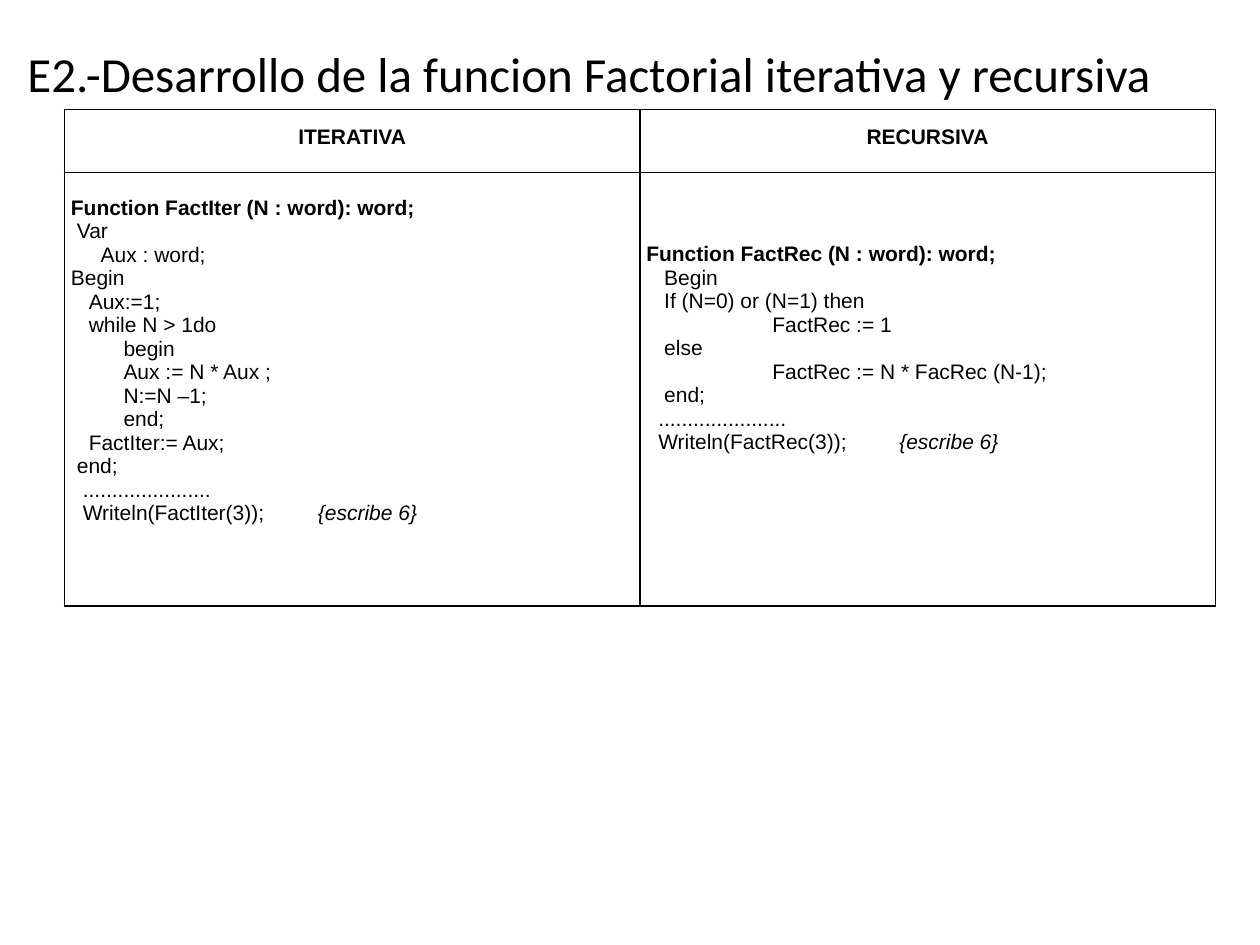
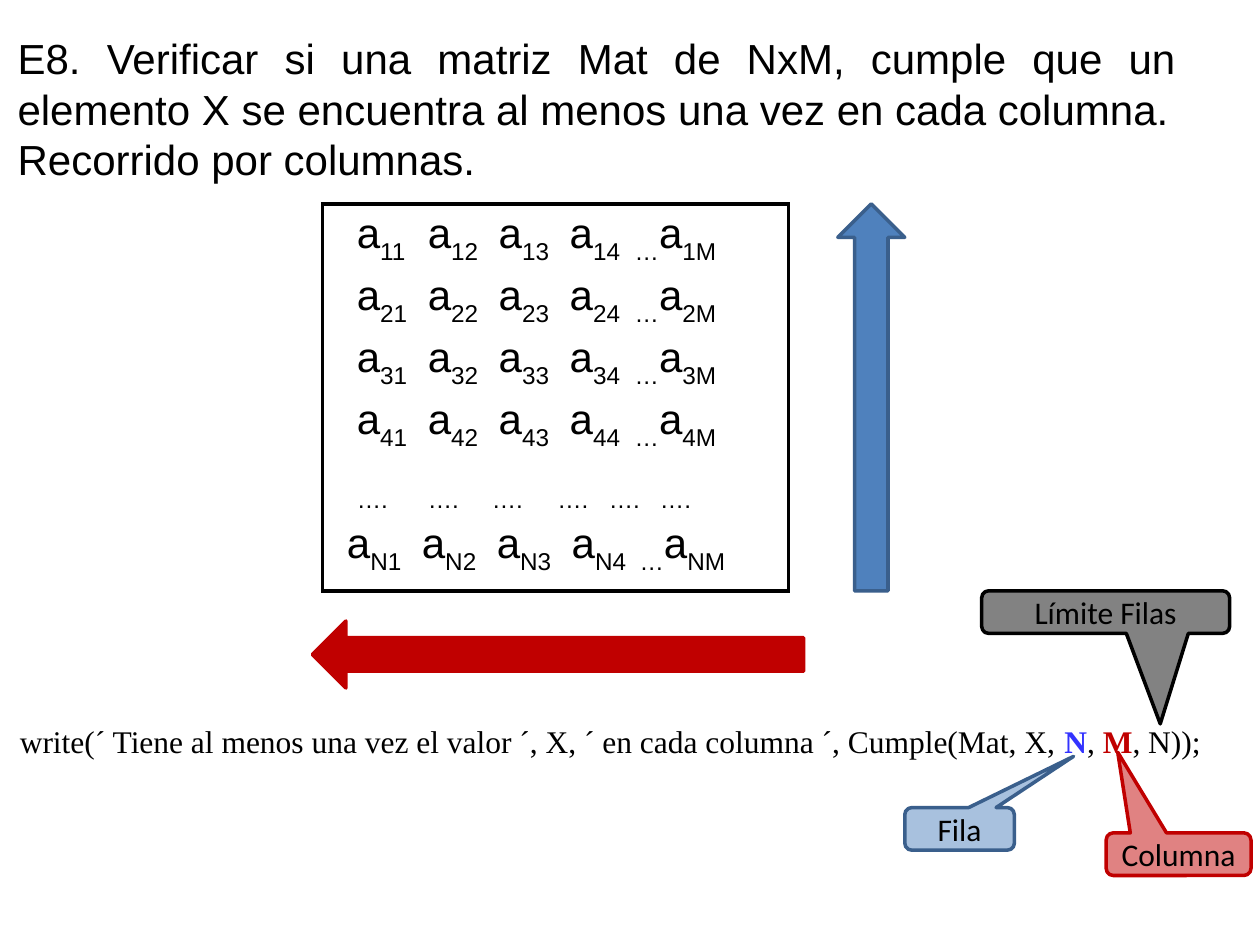
from dataclasses import dataclass

from lxml import etree
from pptx import Presentation
from pptx import util as u
from pptx.dml.color import RGBColor
from pptx.enum import shapes, text
from pptx.oxml.ns import qn


@dataclass(frozen=True)
class Theme:
    black: str = "000000"
    blue: str = "4F81BD"
    dark_blue: str = "3A5F8C"
    red: str = "C00000"
    row_mark: str = "3333FF"
    sans: str = "Arial"
    label: str = "Calibri"
    serif: str = "Times New Roman"
    code_size: int = 12
    body_size: int = 18
    formula_size: int = 24
    heading_size: int = 28


THEME = Theme()
ALIGN = text.PP_ALIGN
SHAPE = shapes.MSO_SHAPE
CODE = {"name": THEME.sans, "size": u.Pt(THEME.code_size)}
FORMULA = {"name": THEME.sans, "size": u.Pt(THEME.formula_size)}
LABEL = {"name": THEME.label, "size": u.Pt(THEME.body_size)}
BOLD, ITALIC = {"bold": True}, {"italic": True}
NO_INSET = {"margin_left": u.Cm(0.13), "margin_right": u.Cm(0.13),
            "margin_top": 0, "margin_bottom": 0}

# Code lines: columns of (position in cm, text, extra format)
ITERATIVE = [
    [(0, "Function FactIter (N : word): word;", BOLD)],
    [(0.12, "Var", {})],
    [(0.6, "Aux : word;", {})],
    [(0, "Begin", {})],
    [(0.36, "Aux:=1;", {})],
    [(0.36, "while N > 1do", {})],
    [(1.06, "begin", {})],
    [(1.06, "Aux := N * Aux ;", {})],
    [(1.06, "N:=N –1;", {})],
    [(1.06, "end;", {})],
    [(0.36, "FactIter:= Aux;", {})],
    [(0.12, "end;", {})],
    [(0.24, "......................", {})],
    [(0.24, "Writeln(FactIter(3));", {}), (4.98, "{escribe 6}", ITALIC)],
]
RECURSIVE = [
    [(0, "Function FactRec (N : word): word;", BOLD)],
    [(0.36, "Begin", {})],
    [(0.36, "If (N=0) or (N=1) then", {})],
    [(2.54, "FactRec := 1", {})],
    [(0.36, "else", {})],
    [(2.54, "FactRec := N * FacRec (N-1);", {})],
    [(0.36, "end;", {})],
    [(0.24, "......................", {})],
    [(0.24, "Writeln(FactRec(3));", {}), (5.1, "{escribe 6}", ITALIC)],
]


def set_all(target, values):
    for key, value in values.items():
        setattr(target, key, value)


def add_run(paragraph, words, style, color=THEME.black, subscript=False):
    run = paragraph.add_run()
    run.text = words
    set_all(run.font, style)
    run.font.color.rgb = RGBColor.from_string(color)
    if subscript:
        run._r.get_or_add_rPr().set("baseline", "-30000")


def next_paragraph(frame, index):
    return frame.paragraphs[0] if index == 0 else frame.add_paragraph()


def set_tabs(paragraph, stops):
    tabs = etree.SubElement(paragraph._p.get_or_add_pPr(), qn("a:tabLst"))
    for stop in stops:
        etree.SubElement(tabs, qn("a:tab"), pos=str(int(u.Cm(stop))), algn="l")


def add_title(slide, box, lines, style, align=ALIGN.LEFT, right_inset=0.25):
    title = slide.shapes.title
    set_all(title, dict(zip(("left", "top", "width", "height"), map(u.Cm, box))))
    frame = title.text_frame
    set_all(frame, {"word_wrap": True, "vertical_anchor": text.MSO_ANCHOR.TOP,
                    "auto_size": text.MSO_AUTO_SIZE.NONE,
                    "margin_right": u.Cm(right_inset)})
    for index, line in enumerate(lines):
        paragraph = next_paragraph(frame, index)
        paragraph.alignment = align
        add_run(paragraph, line, style)


def add_grid(slide, left, top, widths, heights, border):
    """Add a plain table with black borders."""
    table = slide.shapes.add_table(
        len(heights), len(widths), u.Cm(left), u.Cm(top),
        u.Cm(sum(widths)), u.Cm(sum(heights))).table
    set_all(table, {"first_row": False, "horz_banding": False})
    for column, width in zip(table.columns, widths):
        column.width = u.Cm(width)
    for row, height in zip(table.rows, heights):
        row.height = u.Cm(height)
    for cell in table.iter_cells():
        cell.fill.background()
        for index, side in enumerate(("lnL", "lnR", "lnT", "lnB")):
            line = etree.Element(qn(f"a:{side}"), w=str(int(u.Pt(border))))
            fill = etree.SubElement(line, qn("a:solidFill"))
            etree.SubElement(fill, qn("a:srgbClr"), val=THEME.black)
            cell._tc.get_or_add_tcPr().insert(index, line)
    return table


def fill_code(cell, lines, top_inset):
    set_all(cell, NO_INSET | {"margin_top": u.Cm(top_inset)})
    for index, columns in enumerate(lines):
        paragraph = next_paragraph(cell.text_frame, index)
        stops = [position for position, _, _ in columns if position]
        if stops:
            set_tabs(paragraph, stops)
        for position, words, extra in columns:
            add_run(paragraph, ("\t" if position else "") + words, CODE | extra)


def fill_matrix(cell):
    """Write the matrix elements, aligned by tab stops."""
    for index, row in enumerate(["1", "2", "3", "4", "….", "N"]):
        paragraph = next_paragraph(cell.text_frame, index)
        paragraph.space_before = u.Pt(3.6 if index else 0)
        if row == "….":
            set_tabs(paragraph, [0.44, 1.87, 3.16, 4.48, 5.52, 6.55])
            add_run(paragraph, f"\t{row}" * 6, FORMULA, subscript=True)
            continue
        start, pitch, last_gap = (0.24, 1.51, 1.37) if row == "N" else (0.44, 1.43, 1.31)
        stops = [start + pitch * column for column in range(4)]
        set_tabs(paragraph, stops + [stops[-1] + last_gap])
        for column in "1234M":
            if column == "M":
                add_run(paragraph, "\t…", FORMULA, subscript=True)
                add_run(paragraph, "a", FORMULA)
            else:
                add_run(paragraph, "\ta", FORMULA)
            add_run(paragraph, row + column, FORMULA, subscript=True)


def add_figure(slide, kind, box, fill, line):
    figure = slide.shapes.add_shape(kind, *map(u.Cm, box))
    figure.shadow.inherit = False
    figure.fill.solid()
    figure.fill.fore_color.rgb = RGBColor.from_string(fill)
    figure.line.color.rgb = RGBColor.from_string(line)
    figure.line.width = u.Pt(2)
    return figure


def add_callout(slide, label, box, tip, fill, line):
    callout = add_figure(slide, SHAPE.ROUNDED_RECTANGULAR_CALLOUT, box, fill, line)
    callout.adjustments[0], callout.adjustments[1] = tip
    color = callout._element.spPr.find(qn("a:solidFill"))[0]
    etree.SubElement(color, qn("a:alpha"), val="49000")
    frame = callout.text_frame
    set_all(frame, {"word_wrap": True, "vertical_anchor": text.MSO_ANCHOR.MIDDLE})
    frame.paragraphs[0].alignment = ALIGN.CENTER
    add_run(frame.paragraphs[0], label, LABEL)


def add_call_line(slide, box, pieces):
    frame = slide.shapes.add_textbox(*map(u.Cm, box)).text_frame
    frame.word_wrap = True
    style = {"name": THEME.serif, "size": u.Pt(THEME.body_size)}
    for words, color, extra in pieces:
        add_run(frame.paragraphs[0], words, style | extra, color)


def build_factorial(slide):
    add_title(slide, (0.3, 0.74, 24.8, 1.45),
              ["E2.-Desarrollo de la funcion Factorial iterativa y recursiva"],
              {"name": THEME.label, "size": u.Pt(THEME.heading_size)})
    # Both versions side by side
    table = add_grid(slide, 1.3, 2.21, [11.6] * 2, [1.27, 8.74], 1)
    versions = [("ITERATIVA", ITERATIVE, 0.47), ("RECURSIVA", RECURSIVE, 1.41)]
    for column, (heading, code, inset) in enumerate(versions):
        header = table.cell(0, column)
        fill_code(header, [[(0, heading, BOLD)]], 0.31)
        header.text_frame.paragraphs[0].alignment = ALIGN.CENTER
        fill_code(table.cell(1, column), code, inset)


def build_matrix(slide):
    add_title(slide, (0.1, 0.53, 24.4, 3.33),
              ["E8. Verificar si una matriz Mat de NxM, cumple que un elemento X "
               "se encuentra al menos una vez en cada columna.",
               "Recorrido por columnas."],
              FORMULA, ALIGN.JUSTIFY, right_inset=0.8)
    fill_matrix(add_grid(slide, 6.5, 4.11, [9.4], [7.8], 2.25).cell(0, 0))
    # Directions of traversal
    add_figure(slide, SHAPE.UP_ARROW, (16.89, 4.11, 1.35, 7.8),
               THEME.blue, THEME.dark_blue)
    add_figure(slide, SHAPE.LEFT_ARROW, (6.3, 12.52, 9.9, 1.35),
               THEME.red, THEME.red)
    # Function call and the meaning of its arguments
    add_call_line(slide, (0.15, 14.43, 25.1, 1.02), [
        ("write(´ Tiene al menos una vez el valor ´, X, ´ en cada columna ´, "
         "Cumple(Mat, X, ", THEME.black, {}),
        ("N", THEME.row_mark, BOLD),
        (", ", THEME.black, {}),
        ("M", THEME.red, BOLD),
        (", N));", THEME.black, {})])
    for label, box, tip, fill, line in [
        ("Columna", (22.3, 16.79, 2.92, 0.86), (-0.42, -2.39), THEME.red, THEME.red),
        ("Fila", (18.24, 16.28, 2.21, 0.86), (1.04, -1.7), THEME.blue, THEME.dark_blue),
        ("Límite Filas", (19.79, 11.91, 5, 0.86), (0.22, 2.62), THEME.black, THEME.black),
    ]:
        add_callout(slide, label, box, tip, fill, line)


def main():
    deck = Presentation()
    set_all(deck, {"slide_width": u.Cm(25.4), "slide_height": u.Cm(19.05)})
    for build in (build_factorial, build_matrix):
        build(deck.slides.add_slide(deck.slide_layouts[5]))
    deck.save("out.pptx")


if __name__ == "__main__":
    main()
